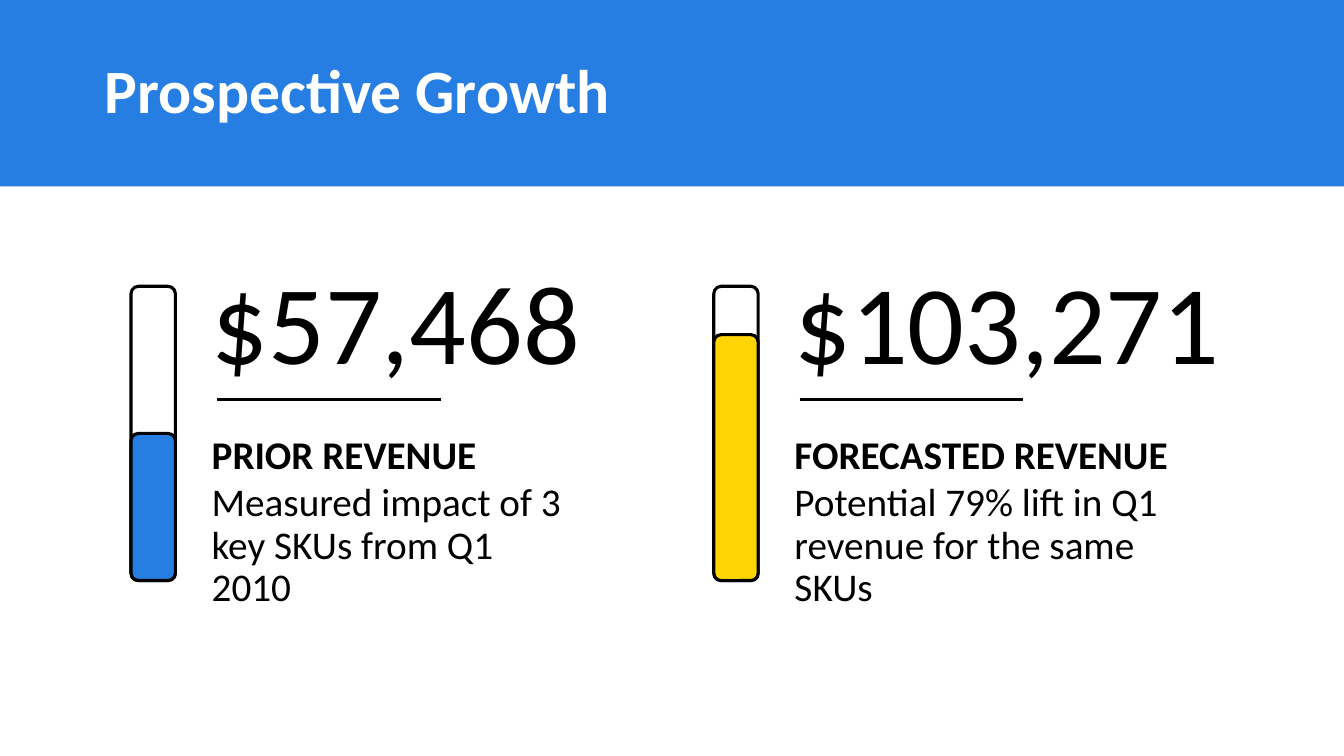
"""Build the Prospective Growth slide with two revenue gauges."""
from dataclasses import dataclass
from typing import Optional

from lxml import etree
from pptx import Presentation
from pptx import util as u
from pptx.dml import color
from pptx.enum import shapes, text
from pptx.oxml import ns

COLORS = {"blue": "267EE2", "yellow": "FFD405", "black": "000000", "white": "FFFFFF"}
FONT = "Calibri"
GAUGE_TOP, GAUGE_WIDTH, GAUGE_HEIGHT = 2.84, 0.44, 2.92


@dataclass
class Metric:
    """One revenue figure with its gauge; lengths are inches."""
    left: float
    level: float
    fill: str
    value: str
    value_width: float
    label: str
    label_width: float
    detail: str


METRICS = [
    Metric(1.3, 1.46, "blue", "$57,468", 4.15, "PRIOR REVENUE", 3.89,
           "Measured impact of 3 key SKUs from Q1 2010"),
    Metric(7.08, 2.44, "yellow", "$103,271", 4.68, "FORECASTED REVENUE", 4.37,
           "Potential 79% lift in Q1 revenue for the same SKUs"),
]


def rgb(name: str) -> color.RGBColor:
    """Return a named palette colour."""
    return color.RGBColor.from_string(COLORS[name])


def write(sp, words: str, *, size: float, ink: str = "black", bold: bool = False,
          anchor=text.MSO_ANCHOR.TOP, before: float = 0, inset: float = 0.13) -> None:
    """Put one formatted paragraph in a shape."""
    tf = sp.text_frame
    tf.word_wrap = True
    tf.auto_size = text.MSO_AUTO_SIZE.NONE
    tf.vertical_anchor = anchor
    tf.margin_left = tf.margin_right = u.Inches(inset)
    tf.margin_top = tf.margin_bottom = u.Inches(inset)
    p = tf.paragraphs[0]
    p.alignment = text.PP_ALIGN.LEFT
    p.line_spacing = 0.9
    p.space_before = u.Pt(before)
    r = p.add_run()
    r.text = words
    r.font.name, r.font.size, r.font.bold = FONT, u.Pt(size), bold
    r.font.color.rgb = rgb(ink)


def add_box(s, left: float, top: float, width: float, height: float):
    """Add an empty text box measured in inches."""
    return s.shapes.add_textbox(*map(u.Inches, (left, top, width, height)))


def add_block(s, kind, left: float, top: float, width: float, height: float,
              fill: Optional[str] = None, line: Optional[str] = None):
    """Add a flat preset shape with optional fill and outline."""
    sp = s.shapes.add_shape(kind, *map(u.Inches, (left, top, width, height)))
    sp.shadow.inherit = False
    if fill:
        sp.fill.solid()
        sp.fill.fore_color.rgb = rgb(fill)
    else:
        sp.fill.background()
    if line:
        sp.line.color.rgb = rgb(line)
        sp.line.width = u.Pt(2.25)
    else:
        sp.line.fill.background()
    return sp


def add_rule(s, left: float, top: float, width: float) -> None:
    """Add a horizontal black line."""
    rule = s.shapes.add_connector(
        shapes.MSO_CONNECTOR.STRAIGHT,
        *map(u.Inches, (left, top, left + width, top)))
    rule.line.color.rgb = rgb("black")
    rule.line.width = u.Pt(2.25)
    etree.SubElement(rule._element.spPr, ns.qn("a:effectLst"))


def add_metric(s, m: Metric) -> None:
    """Draw a gauge and the texts beside it."""
    text_left = m.left + 0.67
    write(add_box(s, text_left, 4.66, 3.89, 1.3), m.detail, size=28)
    write(add_box(s, text_left, 2.45, m.value_width, 1.62), m.value, size=80,
          anchor=text.MSO_ANCHOR.MIDDLE)
    write(add_box(s, text_left, 4.06, m.label_width, 0.81), m.label, size=28,
          bold=True, anchor=text.MSO_ANCHOR.BOTTOM, before=10)
    add_rule(s, m.left + 0.85, 3.96, 2.22)
    for height, fill in ((GAUGE_HEIGHT, None), (m.level, m.fill)):
        add_block(s, shapes.MSO_SHAPE.ROUNDED_RECTANGLE, m.left,
                  GAUGE_TOP + GAUGE_HEIGHT - height, GAUGE_WIDTH, height,
                  fill=fill, line="black")


def add_header(s, words: str) -> None:
    """Place the title over a full-width blue band."""
    band = add_block(s, shapes.MSO_SHAPE.RECTANGLE, 0, 0, 13.33, 1.85, fill="blue")
    title = s.shapes.title
    title._element.addprevious(band._element)
    title.left, title.top = u.Inches(0.94), u.Inches(0.2)
    title.width, title.height = u.Inches(11.5), u.Inches(1.45)
    write(title, words, size=44, ink="white", bold=True,
          anchor=text.MSO_ANCHOR.MIDDLE, inset=0.1)


def main() -> None:
    """Create and save the slide."""
    prs = Presentation()
    prs.slide_width, prs.slide_height = u.Inches(13.33), u.Inches(7.5)
    s = prs.slides.add_slide(prs.slide_layouts.get_by_name("Title Only"))
    add_header(s, "Prospective Growth")
    for m in METRICS:
        add_metric(s, m)
    prs.save("out.pptx")


if __name__ == "__main__":
    main()
